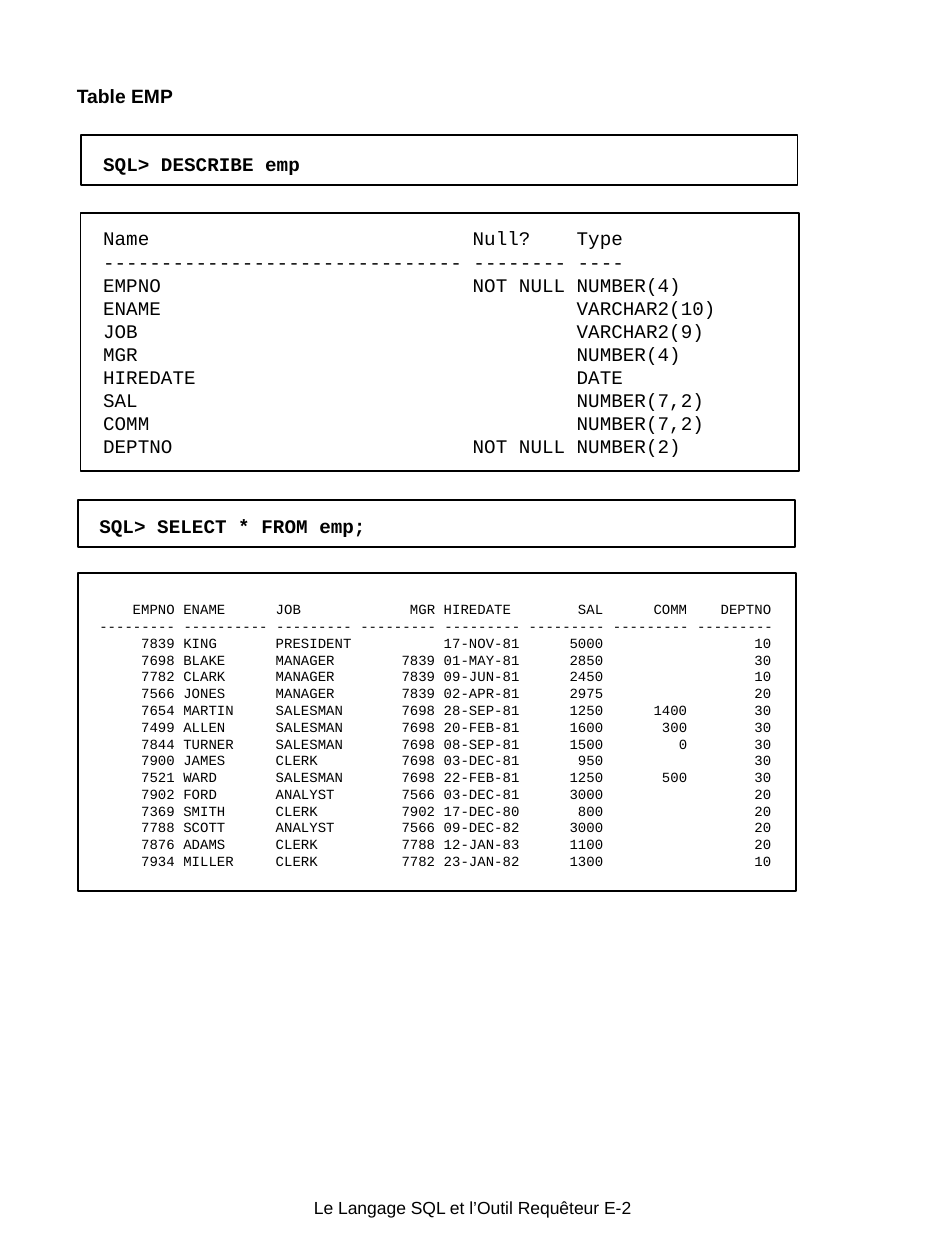
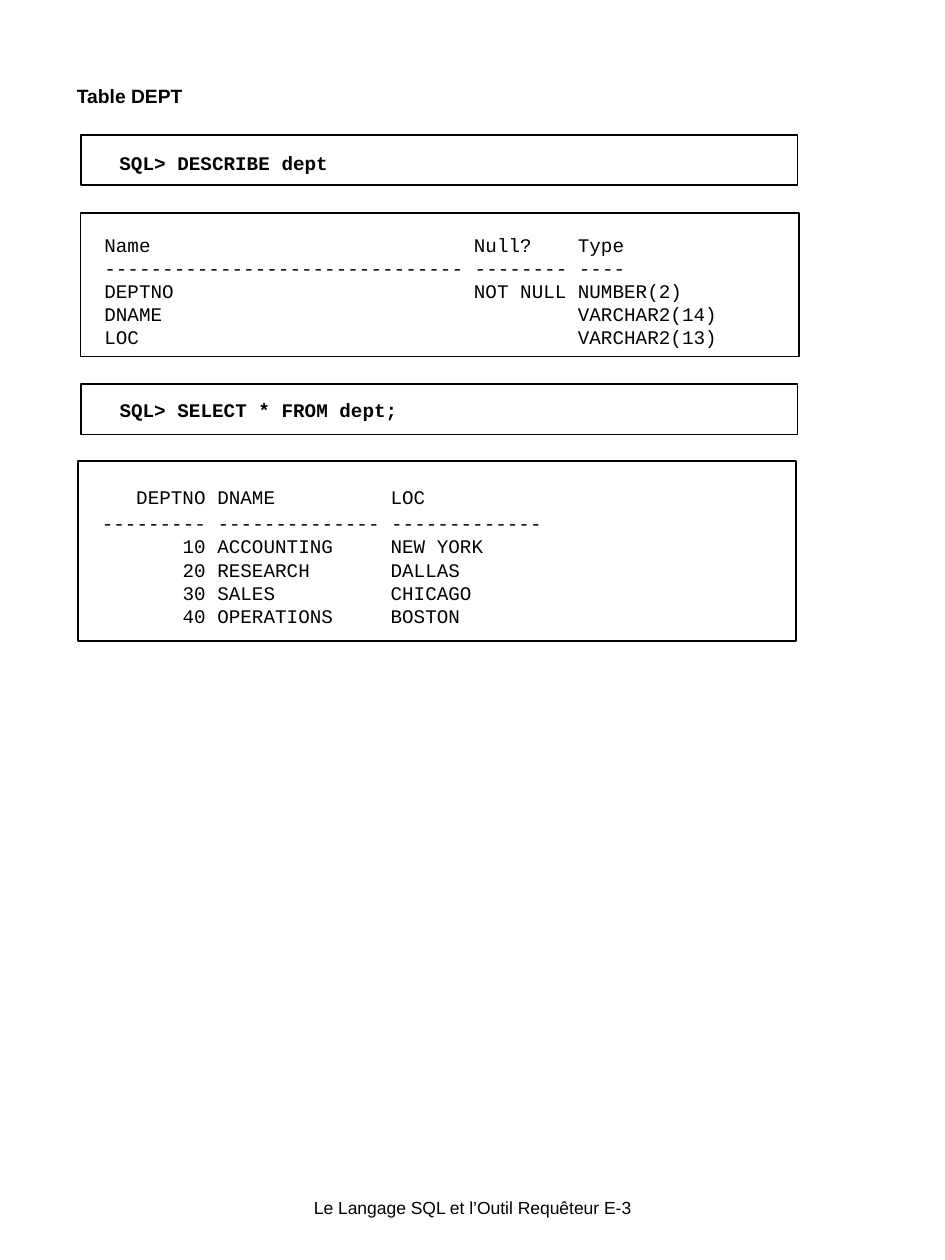
from dataclasses import dataclass

import lxml.etree
import pptx
import pptx.dml.color
import pptx.enum.shapes
import pptx.enum.text
import pptx.oxml.ns
import pptx.util

Inches = pptx.util.Inches
Pt = pptx.util.Pt

INK = "000000"
SANS = "Arial"
MONO = "Courier New"
MONO_ADVANCE = 0.6  # character width as a share of the font size
INSET_X, INSET_Y = 0.1, 0.05


@dataclass(frozen=True)
class Box:
    left: float
    top: float
    width: float
    height: float


@dataclass(frozen=True)
class Column:
    title: str
    width: int  # in characters
    align: str = "l"


@dataclass(frozen=True)
class Command:
    frame: Box
    box: Box
    text: str


@dataclass(frozen=True)
class Listing:
    frame: Box
    box: Box
    columns: list[Column]
    rows: list[tuple[str, ...]]
    size: float = 11
    header_gap: float = 0


@dataclass(frozen=True)
class Page:
    title: str
    number: str
    panels: list[Command | Listing]


DESCRIBE_COLUMNS = [Column("Name", 31), Column("Null?", 8), Column("Type", 4)]

EMP_COLUMNS = [
    Column("EMPNO", 9, "r"), Column("ENAME", 10), Column("JOB", 9),
    Column("MGR", 9, "r"), Column("HIREDATE", 9), Column("SAL", 9, "r"),
    Column("COMM", 9, "r"), Column("DEPTNO", 9, "r"),
]

DEPT_COLUMNS = [Column("DEPTNO", 9, "r"), Column("DNAME", 14), Column("LOC", 13)]

EMP_FIELDS = [
    ("EMPNO", "NOT NULL", "NUMBER(4)"),
    ("ENAME", "", "VARCHAR2(10)"),
    ("JOB", "", "VARCHAR2(9)"),
    ("MGR", "", "NUMBER(4)"),
    ("HIREDATE", "", "DATE"),
    ("SAL", "", "NUMBER(7,2)"),
    ("COMM", "", "NUMBER(7,2)"),
    ("DEPTNO", "NOT NULL", "NUMBER(2)"),
]

EMP_ROWS = [
    ("7839", "KING", "PRESIDENT", "", "17-NOV-81", "5000", "", "10"),
    ("7698", "BLAKE", "MANAGER", "7839", "01-MAY-81", "2850", "", "30"),
    ("7782", "CLARK", "MANAGER", "7839", "09-JUN-81", "2450", "", "10"),
    ("7566", "JONES", "MANAGER", "7839", "02-APR-81", "2975", "", "20"),
    ("7654", "MARTIN", "SALESMAN", "7698", "28-SEP-81", "1250", "1400", "30"),
    ("7499", "ALLEN", "SALESMAN", "7698", "20-FEB-81", "1600", "300", "30"),
    ("7844", "TURNER", "SALESMAN", "7698", "08-SEP-81", "1500", "0", "30"),
    ("7900", "JAMES", "CLERK", "7698", "03-DEC-81", "950", "", "30"),
    ("7521", "WARD", "SALESMAN", "7698", "22-FEB-81", "1250", "500", "30"),
    ("7902", "FORD", "ANALYST", "7566", "03-DEC-81", "3000", "", "20"),
    ("7369", "SMITH", "CLERK", "7902", "17-DEC-80", "800", "", "20"),
    ("7788", "SCOTT", "ANALYST", "7566", "09-DEC-82", "3000", "", "20"),
    ("7876", "ADAMS", "CLERK", "7788", "12-JAN-83", "1100", "", "20"),
    ("7934", "MILLER", "CLERK", "7782", "23-JAN-82", "1300", "", "10"),
]

DEPT_FIELDS = [
    ("DEPTNO", "NOT NULL", "NUMBER(2)"),
    ("DNAME", "", "VARCHAR2(14)"),
    ("LOC", "", "VARCHAR2(13)"),
]

DEPT_ROWS = [
    ("10", "ACCOUNTING", "NEW YORK"),
    ("20", "RESEARCH", "DALLAS"),
    ("30", "SALES", "CHICAGO"),
    ("40", "OPERATIONS", "BOSTON"),
]

DESCRIBE_FRAME = Box(0.64, 1.07, 5.69, 0.4)

PAGES = [
    Page("Table EMP", "E-2", [
        Command(DESCRIBE_FRAME, Box(0.72, 1.16, 5.59, 0.27), "SQL> DESCRIBE emp"),
        Listing(Box(0.64, 1.69, 5.7, 2.05), Box(0.72, 1.75, 5.6, 1.95),
                DESCRIBE_COLUMNS, EMP_FIELDS),
        Command(Box(0.62, 3.97, 5.69, 0.37), Box(0.69, 4.03, 5.58, 0.27),
                "SQL> SELECT * FROM emp;"),
        Listing(Box(0.62, 4.55, 5.7, 2.52), Box(0.69, 4.72, 5.56, 2.36),
                EMP_COLUMNS, EMP_ROWS, size=8),
    ]),
    Page("Table DEPT", "E-3", [
        Command(DESCRIBE_FRAME, Box(0.85, 1.15, 4.63, 0.27), "SQL> DESCRIBE dept"),
        Listing(Box(0.64, 1.69, 5.7, 1.14), Box(0.73, 1.8, 5.57, 1.01),
                DESCRIBE_COLUMNS, DEPT_FIELDS),
        Command(Box(0.64, 3.05, 5.69, 0.4), Box(0.85, 3.11, 5.48, 0.27),
                "SQL> SELECT * FROM dept;"),
        Listing(Box(0.62, 3.66, 5.7, 1.43), Box(0.71, 3.8, 3.7, 1.23),
                DEPT_COLUMNS, DEPT_ROWS, header_gap=2),
    ]),
]


def rgb(color: str) -> pptx.dml.color.RGBColor:
    return pptx.dml.color.RGBColor.from_string(color)


def place(box: Box) -> list[int]:
    return [Inches(v) for v in (box.left, box.top, box.width, box.height)]


def add_frame(slide, box: Box) -> None:
    sp = slide.shapes.add_shape(pptx.enum.shapes.MSO_SHAPE.RECTANGLE, *place(box))
    sp.shadow.inherit = False
    sp.fill.background()
    sp.line.color.rgb = rgb(INK)
    sp.line.width = Pt(1)


def add_text_frame(slide, box: Box, inset_x: float = INSET_X,
                   inset_y: float = INSET_Y, wrap: bool = True):
    tf = slide.shapes.add_textbox(*place(box)).text_frame
    tf.word_wrap = wrap
    tf.margin_left = tf.margin_right = Inches(inset_x)
    tf.margin_top = tf.margin_bottom = Inches(inset_y)
    return tf


def add_run(p, text: str, size: float, font: str, bold: bool = False) -> None:
    r = p.add_run()
    r.text = text
    r.font.name = font
    r.font.size = Pt(size)
    r.font.bold = bold
    r.font.color.rgb = rgb(INK)


def set_tabs(p, columns: list[Column], size: float) -> None:
    """Put a stop at the start of each left column and the end of each right one."""
    qn = pptx.oxml.ns.qn
    tabs = lxml.etree.SubElement(p._p.get_or_add_pPr(), qn("a:tabLst"))
    start = 0
    for column in columns:
        stop = start + (column.width if column.align == "r" else 0)
        if stop:
            pos = Pt(stop * size * MONO_ADVANCE)
            lxml.etree.SubElement(tabs, qn("a:tab"), pos=str(pos), algn=column.align)
        start += column.width + 1


def draw_command(slide, command: Command) -> None:
    add_frame(slide, command.frame)
    tf = add_text_frame(slide, command.box)
    add_run(tf.paragraphs[0], command.text, 11, MONO, bold=True)


def draw_listing(slide, listing: Listing) -> None:
    add_frame(slide, listing.frame)
    tf = add_text_frame(slide, listing.box, wrap=False)
    columns = listing.columns
    lead = "\t" if columns[0].align == "r" else ""
    header, *body = [lead + "\t".join(cells)
                     for cells in [tuple(c.title for c in columns), *listing.rows]]
    rule = " ".join("-" * c.width for c in columns)

    for i, line in enumerate([header, rule, *body]):
        p = tf.add_paragraph() if i else tf.paragraphs[0]
        p.alignment = pptx.enum.text.PP_ALIGN.LEFT
        if i == 0 and listing.header_gap:
            p.space_after = Pt(listing.header_gap)
        if line != rule:
            set_tabs(p, columns, listing.size)
        add_run(p, line, listing.size, MONO)


def draw_title(slide, title: str) -> None:
    p = add_text_frame(slide, Box(0.52, 0.61, 5.84, 0.3), 0.09, 0.04).paragraphs[0]
    p.line_spacing = 1.1
    add_run(p, title, 11, SANS, bold=True)


def draw_footer(slide, number: str) -> None:
    p = add_text_frame(slide, Box(0.85, 9.5, 5.8, 0.17), 0, 0).paragraphs[0]
    p.alignment = pptx.enum.text.PP_ALIGN.CENTER
    add_run(p, f"Le Langage SQL et l’Outil Requêteur {number}", 10, SANS)


def main() -> None:
    prs = pptx.Presentation()
    prs.slide_width, prs.slide_height = Inches(7.5), Inches(10)
    for page in PAGES:
        slide = prs.slides.add_slide(prs.slide_layouts[6])
        draw_footer(slide, page.number)
        draw_title(slide, page.title)
        for panel in page.panels:
            if isinstance(panel, Command):
                draw_command(slide, panel)
            else:
                draw_listing(slide, panel)
    prs.save("out.pptx")


if __name__ == "__main__":
    main()
